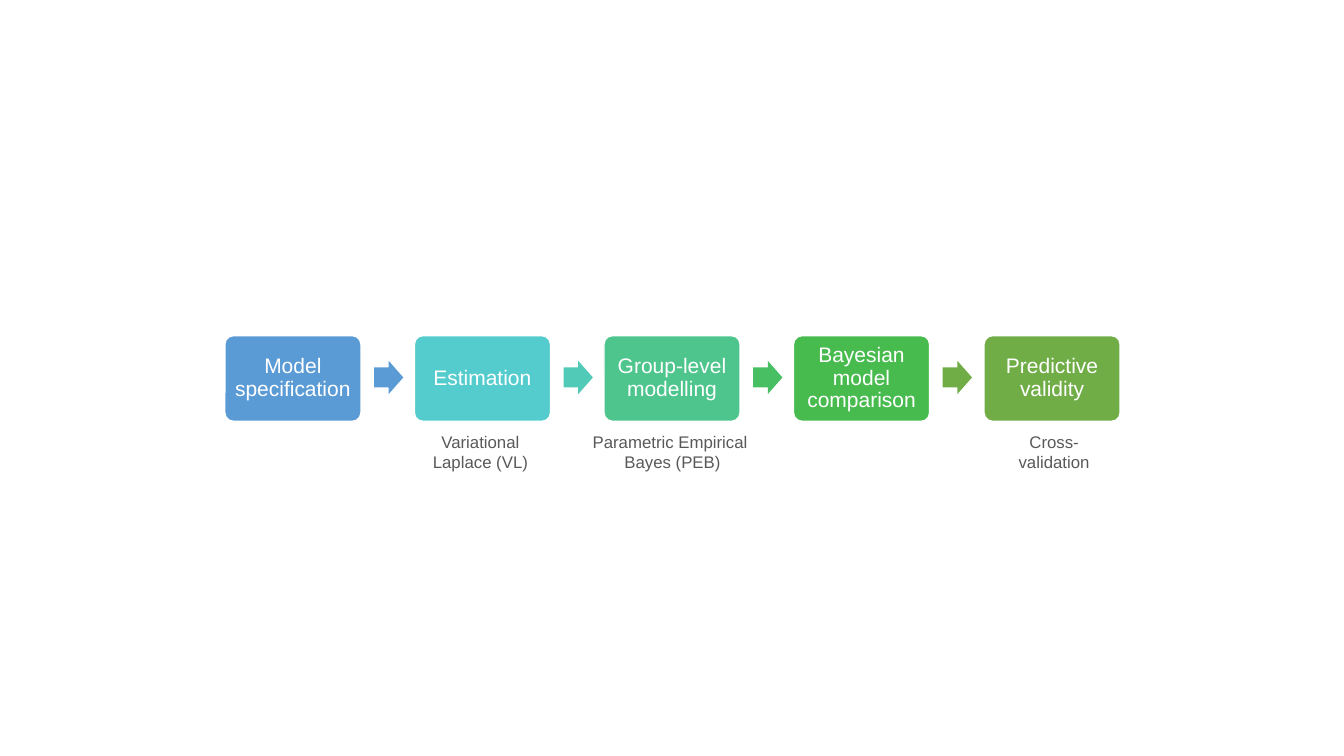
"""Draw a five-step modelling pipeline with method captions."""
import dataclasses
import typing

import pptx
import pptx.dml.color
import pptx.enum.shapes
import pptx.enum.text
import pptx.shapes.autoshape
import pptx.slide
import pptx.text.text
import pptx.util

RGB = pptx.dml.color.RGBColor
KIND = pptx.enum.shapes.MSO_SHAPE
WHITE = RGB(0xFF, 0xFF, 0xFF)
GREY = RGB(0x59, 0x59, 0x59)
BLUE = RGB(0x5B, 0x9B, 0xD5)
CYAN = RGB(0x54, 0xCC, 0xCD)
TEAL = RGB(0x52, 0xCA, 0xB8)
MINT = RGB(0x4D, 0xC5, 0x8D)
JADE = RGB(0x49, 0xBF, 0x64)
GREEN = RGB(0x48, 0xBB, 0x4F)
OLIVE = RGB(0x70, 0xAD, 0x47)
FONT = "Arial"
SCALE = 9144
LEFT, TOP, WIDTH, HEIGHT = 223, 333, 135, 85
SPAN = 753


@dataclasses.dataclass(frozen=True)
class Step:
    """A pipeline box and the colour of the arrow leaving it."""
    text: str
    fill: RGB
    arrow: typing.Optional[RGB] = None


@dataclasses.dataclass(frozen=True)
class Label:
    """A caption below a box."""
    text: str
    left: int
    width: int
    height: int


STEPS = [
    Step("Model specification", BLUE, BLUE),
    Step("Estimation", CYAN, TEAL),
    Step("Group-level modelling", MINT, JADE),
    Step("Bayesian model comparison", GREEN, OLIVE),
    Step("Predictive validity", OLIVE),
]
LABELS = [
    Label("Variational\nLaplace (VL)", 419, 115, 50),
    Label("Parametric Empirical \vBayes (PEB)", 577, 180, 50),
    Label("Cross-validation", 976, 139, 30),
]


def px(size: int) -> pptx.util.Emu:
    """Turn px into EMU."""
    return pptx.util.Emu(size * SCALE)


def write(frame: pptx.text.text.TextFrame, text: str, size: int, color: RGB) -> None:
    """Fill a frame with centred text."""
    frame.text = text
    for para in frame.paragraphs:
        para.alignment = pptx.enum.text.PP_ALIGN.CENTER
        para.font.name = FONT
        para.font.size = pptx.util.Pt(size)
        para.font.color.rgb = color


def block(slide: pptx.slide.Slide, kind: KIND, left: int, top: int, width: int,
          height: int, fill: RGB) -> pptx.shapes.autoshape.Shape:
    """Add a flat filled shape."""
    shape = slide.shapes.add_shape(kind, px(left), px(top), px(width), px(height))
    shape.shadow.inherit = False
    shape.fill.solid()
    shape.fill.fore_color.rgb = fill
    return shape


def draw_step(slide: pptx.slide.Slide, step: Step, left: int) -> None:
    """Draw a box with its text and any arrow."""
    box = block(slide, KIND.ROUNDED_RECTANGLE, left, TOP, WIDTH, HEIGHT, step.fill)
    box.adjustments[0] = 0.1
    box.line.color.rgb = WHITE
    box.line.width = pptx.util.Pt(1)
    frame = box.text_frame
    frame.word_wrap = True
    frame.vertical_anchor = pptx.enum.text.MSO_ANCHOR.MIDDLE
    frame.margin_left = frame.margin_right = px(6)
    frame.margin_top = frame.margin_bottom = px(6)
    write(frame, step.text, 15, WHITE)
    frame.paragraphs[0].line_spacing = 0.9
    if step.arrow is not None:
        arrow = block(slide, KIND.RIGHT_ARROW, left + 148, 358, 29, 33, step.arrow)
        arrow.adjustments[0] = 0.6
        arrow.adjustments[1] = 0.5
        arrow.line.fill.background()


def draw_label(slide: pptx.slide.Slide, label: Label) -> None:
    """Draw a caption."""
    box = slide.shapes.add_textbox(px(label.left), px(423), px(label.width), px(label.height))
    frame = box.text_frame
    frame.word_wrap = False
    frame.auto_size = pptx.enum.text.MSO_AUTO_SIZE.SHAPE_TO_FIT_TEXT
    write(frame, label.text, 12, GREY)


def main() -> None:
    """Build and save the slide."""
    deck = pptx.Presentation()
    deck.slide_width, deck.slide_height = px(1333), px(750)
    slide = deck.slides.add_slide(deck.slide_layouts[6])
    for index, step in enumerate(STEPS):
        draw_step(slide, step, LEFT + SPAN * index // (len(STEPS) - 1))
    for label in LABELS:
        draw_label(slide, label)
    deck.save("out.pptx")


if __name__ == "__main__":
    main()
